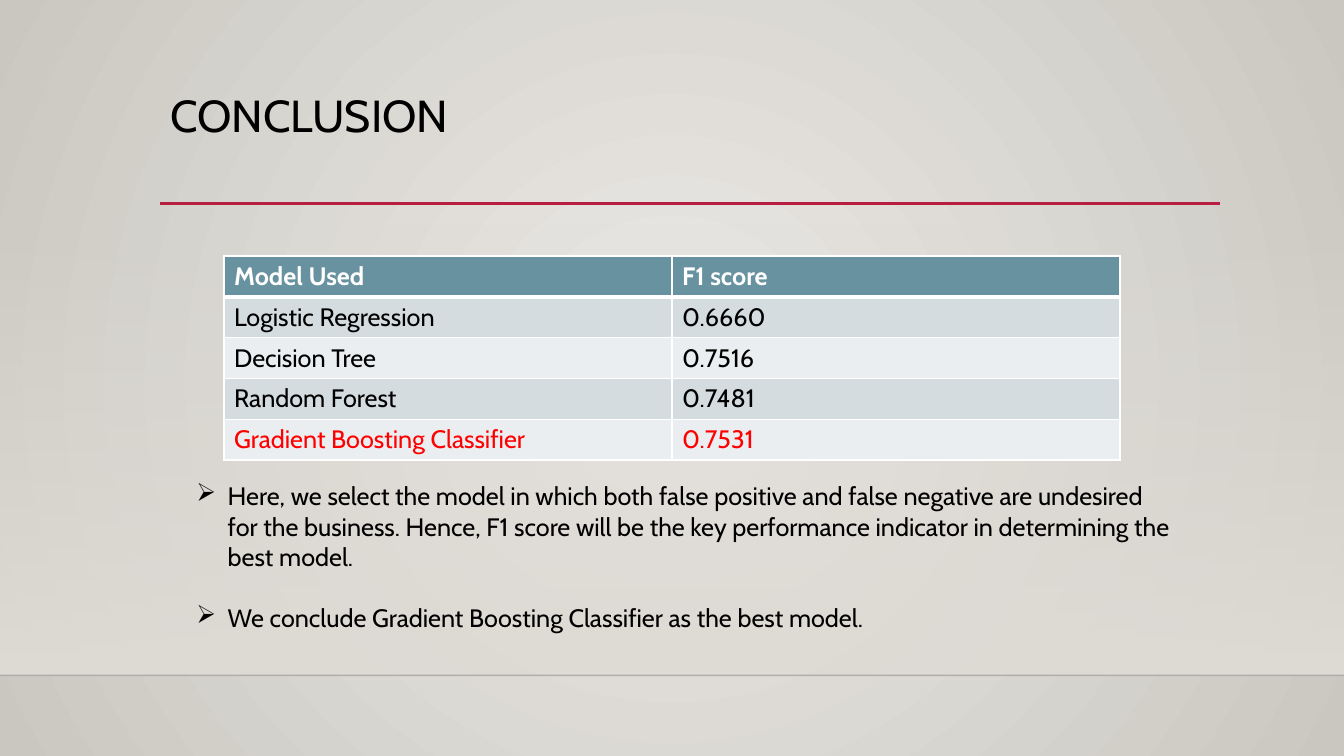
import pptx
import pptx.dml.color
import pptx.enum.shapes
import pptx.enum.text
import pptx.oxml
import pptx.oxml.ns
import pptx.util

WIDTH, HEIGHT = pptx.util.Inches(13.33), pptx.util.Inches(7.5)
FONT = "Cabin"
COLORS = {
    "text": "000000", "winner": "FF0000", "white": "FFFFFF",
    "header": "6892A0", "odd": "D4DCDF", "even": "EBEEF0",
    "accent": "B71E42", "floor": "000001",
    "center": "ECEAE7", "edge": "CAC7C1", "haze": "DFDBD5",
}
SCORES = [
    ("Model Used", "F1 score"),
    ("Logistic Regression", "0.6660"),
    ("Decision Tree", "0.7516"),
    ("Random Forest", "0.7481"),
    ("Gradient Boosting Classifier", "0.7531"),
]
FINDINGS = [
    "Here, we select the model in which both false positive and false negative "
    "are undesired for the business. Hence, F1 score will be the key performance "
    "indicator in determining the best model.",
    "We conclude Gradient Boosting Classifier as the best model.",
]


def rgb(name):
    """Look up a palette colour."""
    return pptx.dml.color.RGBColor.from_string(COLORS[name])


def across(share):
    """Turn a share of the slide width into a length."""
    return round(WIDTH * share / 100)


def down(share):
    """Turn a share of the slide height into a length."""
    return round(HEIGHT * share / 100)


def element(markup):
    """Parse one drawing element."""
    tag, rest = markup[1:].split(" ", 1) if " " in markup.split(">")[0] else (
        markup[1:].split(">")[0], ">" + markup.split(">", 1)[1])
    return pptx.oxml.parse_xml(f"<{tag} {pptx.oxml.ns.nsdecls('a')} {rest}")


def set_gradient(fill, owner, stops, direction):
    """Give a fill a gradient of (position, colour, opacity) stops."""
    fill.gradient()
    gradient = owner.find(".//" + pptx.oxml.ns.qn("a:gradFill"))
    for child in list(gradient):
        gradient.remove(child)
    marks = "".join(
        f'<a:gs pos="{place * 1000}"><a:srgbClr val="{COLORS[color]}">'
        f'<a:alpha val="{opacity * 1000}"/></a:srgbClr></a:gs>'
        for place, color, opacity in stops)
    gradient.append(element(f"<a:gsLst>{marks}</a:gsLst>"))
    gradient.append(element(direction))


def write(paragraph, text, size=18, color="text", bold=False, bullet=None,
          before=0, spacing=None):
    """Write formatted text into a paragraph."""
    if bullet:
        properties = paragraph._p.get_or_add_pPr()
        indent = pptx.util.Inches(0.31)
        properties.set("marL", str(indent))
        properties.set("indent", str(-indent))
        properties.append(element(f'<a:buChar char="{bullet}"/>'))
    if before:
        paragraph.space_before = pptx.util.Pt(before)
    if spacing:
        paragraph.line_spacing = spacing
    run = paragraph.add_run()
    run.text = text
    run.font.name, run.font.size = FONT, pptx.util.Pt(size)
    run.font.bold = bold
    run.font.color.rgb = rgb(color)


def add_text_frame(slide, left, top, width, height):
    """Add a wrapping text box and return its frame."""
    frame = slide.shapes.add_textbox(left, top, width, height).text_frame
    frame.word_wrap = True
    frame.vertical_anchor = pptx.enum.text.MSO_ANCHOR.TOP
    return frame


def add_rule(slide, left, right, top, color, weight, opacity=100):
    """Draw a horizontal line without a shadow."""
    rule = slide.shapes.add_connector(
        pptx.enum.shapes.MSO_CONNECTOR.STRAIGHT, left, top, right, top)
    rule.line.color.rgb = rgb(color)
    rule.line.width = pptx.util.Pt(weight)
    shade = rule.element.spPr.find(".//" + pptx.oxml.ns.qn("a:srgbClr"))
    shade.append(element(f'<a:alpha val="{opacity * 1000}"/>'))
    rule.element.spPr.append(element("<a:effectLst />"))


def add_backdrop(slide):
    """Paint the background, the haze and the floor line."""
    set_gradient(
        slide.background.fill, slide.element,
        [(0, "center", 100), (100, "edge", 100)],
        '<a:path path="circle"><a:fillToRect l="50000" t="50000" '
        'r="50000" b="50000"/></a:path>')
    floor = down(89.33)
    haze_top = down(29.47)
    haze = slide.shapes.add_shape(
        pptx.enum.shapes.MSO_SHAPE.RECTANGLE, 0, haze_top, WIDTH, floor - haze_top)
    haze.shadow.inherit = False
    haze.line.fill.background()
    set_gradient(haze.fill, haze.element, [(0, "haze", 0), (100, "haze", 100)],
                 '<a:lin ang="5400000" scaled="0"/>')
    add_rule(slide, 0, WIDTH, floor, "floor", 1, opacity=20)


def style_cell(cell, fill, top, bottom):
    """Set the borders and fill of a table cell."""
    properties = cell._tc.get_or_add_tcPr()
    for side, weight in (("L", 1), ("R", 1), ("T", top), ("B", bottom)):
        properties.append(element(
            f'<a:ln{side} w="{pptx.util.Pt(weight)}"><a:solidFill>'
            f'<a:srgbClr val="{COLORS["white"]}"/></a:solidFill></a:ln{side}>'))
    cell.fill.solid()
    cell.fill.fore_color.rgb = rgb(fill)


def add_score_table(slide):
    """Add the table of models and scores."""
    table = slide.shapes.add_table(
        len(SCORES), len(SCORES[0]), across(16.67), down(33.87),
        across(66.67), down(5.4) * len(SCORES)).table
    last = len(SCORES) - 1
    for row, values in enumerate(SCORES):
        header = row == 0
        fill = "header" if header else "odd" if row % 2 else "even"
        color = "white" if header else "winner" if row == last else "text"
        for column, value in enumerate(values):
            cell = table.cell(row, column)
            style_cell(cell, fill, 3 if row == 1 else 1, 3 if header else 1)
            write(cell.text_frame.paragraphs[0], value, color=color, bold=header)


def add_findings(slide):
    """Add the bulleted findings."""
    frame = add_text_frame(slide, across(13.88), down(62.93), across(74.34), down(21.6))
    for number, finding in enumerate(FINDINGS):
        paragraph = frame.add_paragraph() if number else frame.paragraphs[0]
        write(paragraph, finding, bullet="➢", before=22 if number else 0)


def main():
    """Build and save the conclusion slide."""
    deck = pptx.Presentation()
    deck.slide_width, deck.slide_height = WIDTH, HEIGHT
    slide = deck.slides.add_slide(deck.slide_layouts[6])
    add_backdrop(slide)
    add_rule(slide, across(11.93), across(90.77), down(26.93), "accent", 2.5)
    title = add_text_frame(slide, across(11.93), down(11.73), across(78.77), down(15.33))
    write(title.paragraphs[0], "CONCLUSION", size=32, spacing=0.9)
    add_score_table(slide)
    add_findings(slide)
    deck.save("out.pptx")


if __name__ == "__main__":
    main()
